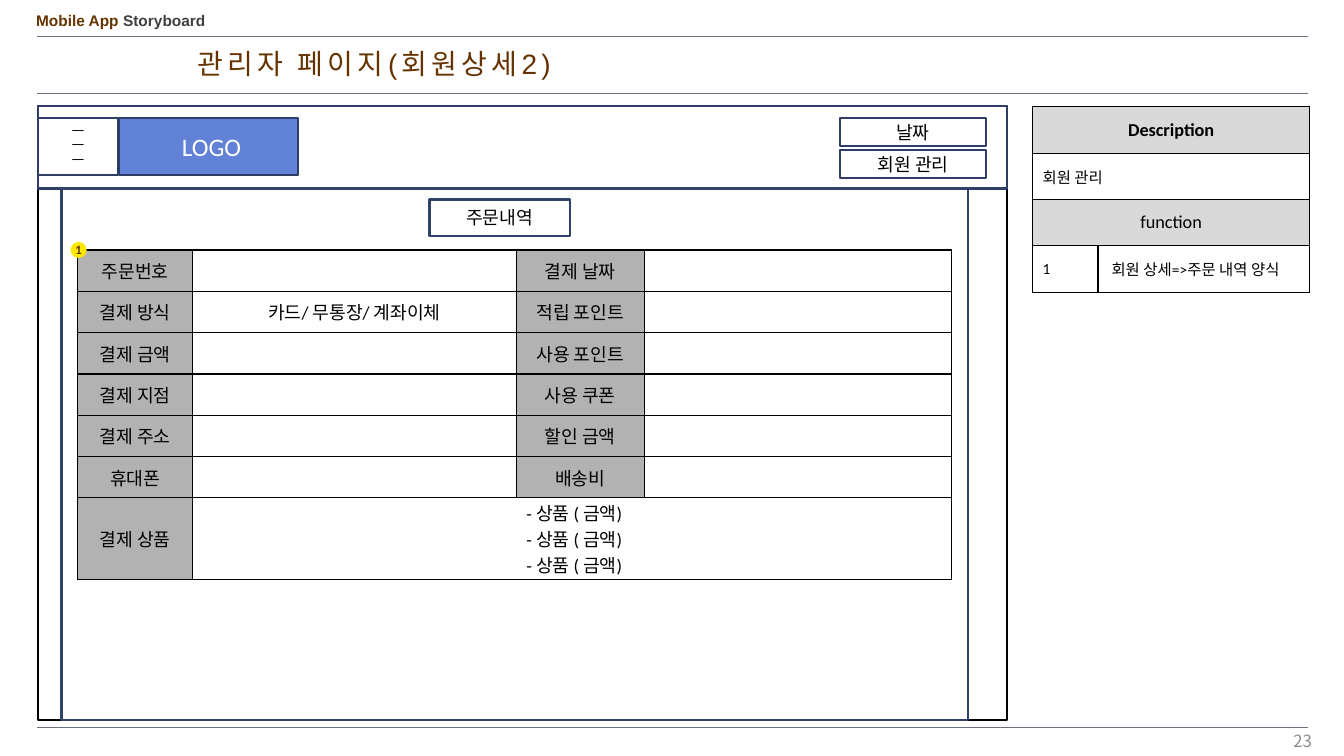
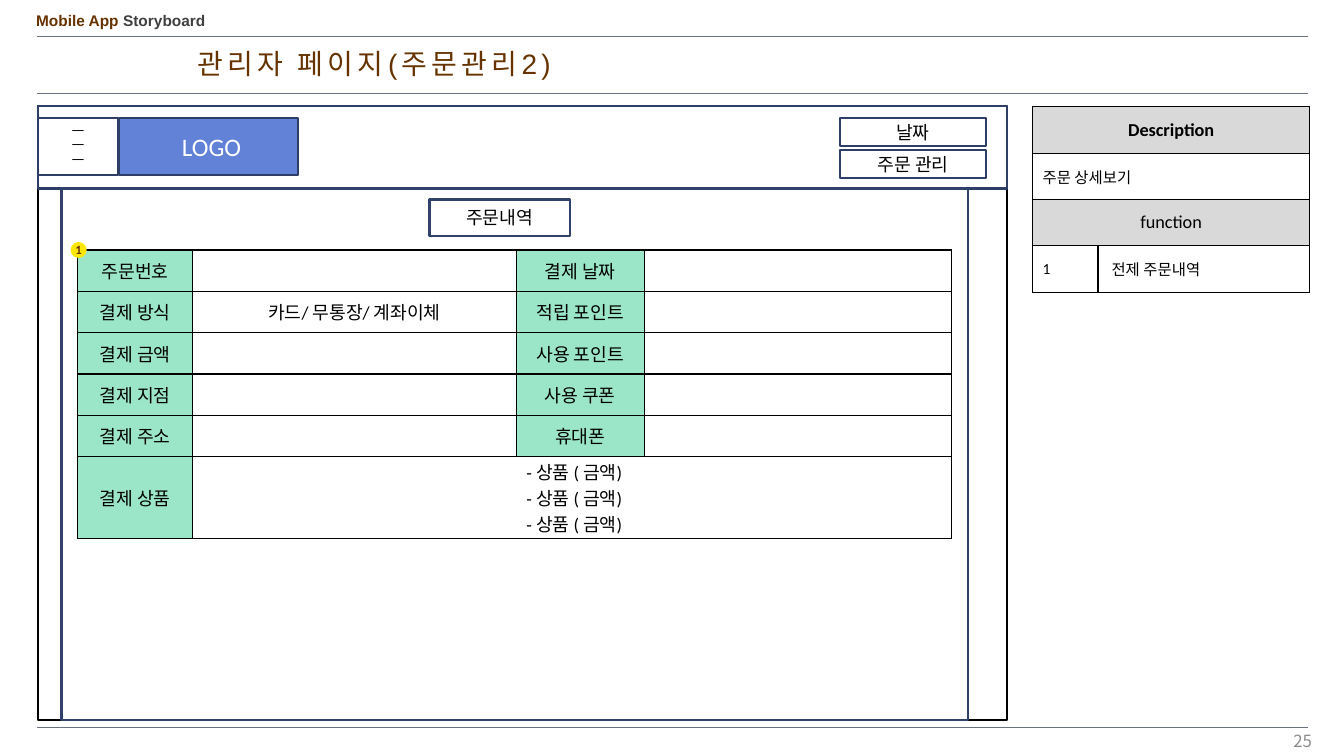
"""Build two storyboard slides for the order detail screens of an admin page."""
from lxml import etree
from pptx import Presentation
from pptx.dml.color import RGBColor
from pptx.enum.shapes import MSO_CONNECTOR, MSO_SHAPE
from pptx.enum.text import MSO_ANCHOR, MSO_AUTO_SIZE, PP_ALIGN
from pptx.oxml import parse_xml
from pptx.oxml.ns import nsdecls, qn
from pptx.util import Inches, Pt

LEFT, MID, RIGHT = PP_ALIGN.LEFT, PP_ALIGN.CENTER, PP_ALIGN.RIGHT
MIDDLE, GROW = MSO_ANCHOR.MIDDLE, MSO_AUTO_SIZE.SHAPE_TO_FIT_TEXT
RECT, OVAL, STRAIGHT = MSO_SHAPE.RECTANGLE, MSO_SHAPE.OVAL, MSO_CONNECTOR.STRAIGHT
HEAD, BODY, ASIAN = "Arial", "Calibri", "Noto Sans CJK KR"
INK = {
    "black": "000000", "white": "FFFFFF", "brown": "663300", "dark": "404040",
    "rule": "68727E", "navy": "2E3E67", "frame": "30416A", "blue": "6182D6",
    "light": "D9D9D9", "gray": "B2B2B2", "mint": "9BE5C8", "yellow": "FCE700",
    "page": "8C8C8C",
}
INK = {name: RGBColor.from_string(code) for name, code in INK.items()}


def write(frame, lines, size, color="black", bold=False, align=MID, font=BODY,
          space=None, track=None):
    frame.word_wrap = True
    for i, line in enumerate(lines):
        para = frame.paragraphs[0] if i == 0 else frame.add_paragraph()
        para.alignment = align
        if space:
            para.line_spacing = space
        for text, tint in [(line, color)] if isinstance(line, str) else line:
            run = para.add_run()
            run.text = text
            run.font.size = Pt(size)
            run.font.bold = bold
            run.font.name = font
            run.font.color.rgb = INK[tint]
            props = run.font._element
            etree.SubElement(props, qn("a:ea"), typeface=ASIAN)
            if track:
                props.set("spc", str(track * 100))


def draw(slide, place, fill="white", edge="navy", kind=RECT):
    shape = slide.shapes.add_shape(kind, *map(Inches, place))
    shape.shadow.inherit = False
    shape.fill.solid()
    shape.fill.fore_color.rgb = INK[fill]
    if edge:
        shape.line.color.rgb = INK[edge]
        shape.line.width = Pt(1.5)
    else:
        shape.line.fill.background()
    shape.text_frame.vertical_anchor = MIDDLE
    return shape.text_frame


ROWS = [
    ("주문번호", "", "결제 날짜"),
    ("결제 방식", "카드/ 무통장/ 계좌이체", "적립 포인트"),
    ("결제 금액", "", "사용 포인트"),
    ("결제 지점", "", "사용 쿠폰"),
]
PAGES = [
    {"title": "관리자 페이지(회원상세2)", "page": "23", "menu": "회원 관리",
     "about": "회원 관리", "note": " 회원 상세=>주문 내역 양식", "tint": "gray",
     "rows": ROWS + [("결제 주소", "", "할인 금액"), ("휴대폰", "", "배송비")]},
    {"title": "관리자 페이지(주문관리2)", "page": "25", "menu": "주문 관리",
     "about": "주문 상세보기", "note": " 전제 주문내역", "tint": "mint",
     "rows": ROWS + [("결제 주소", "", "휴대폰")]},
]

deck = Presentation()
deck.slide_width, deck.slide_height = Inches(13.33), Inches(7.5)

for page in PAGES:
    slide = deck.slides.add_slide(deck.slide_layouts[6])

    for y in (0.36, 0.92, 7.21):
        rule = slide.shapes.add_connector(
            STRAIGHT, Inches(0.37), Inches(y), Inches(12.97), Inches(y))
        rule.line.color.rgb = INK["rule"]
        rule.line.width = Pt(0.25)
        etree.SubElement(rule._element.spPr, qn("a:effectLst"))

    brand = [("Mobile App ", "brown"), ("Storyboard", "dark")]
    for place, line, style in (
        ((0.26, 0.1, 3.57, 0.25), brand,
         {"size": 11, "bold": True, "align": LEFT, "font": HEAD, "space": 0.8}),
        ((1.86, 0.45, 4.8, 0.4), page["title"],
         {"size": 20, "color": "brown", "align": LEFT, "font": HEAD,
          "space": 0.9, "track": 3}),
        ((10.24, 7.15, 2.87, 0.4), page["page"],
         {"size": 12, "color": "page", "align": RIGHT, "font": ASIAN}),
    ):
        frame = slide.shapes.add_textbox(*map(Inches, place)).text_frame
        if line == page["page"]:
            frame.vertical_anchor = MIDDLE
        else:
            frame.auto_size = GROW
        write(frame, [line], **style)

    draw(slide, (0.38, 1.05, 9.61, 6.09), edge="black")
    draw(slide, (0.38, 1.05, 9.61, 0.82))
    logo = draw(slide, (1.18, 1.17, 1.78, 0.57), "blue")
    write(logo, [" LOGO"], 18, "white")
    menu = draw(slide, (0.38, 1.17, 0.79, 0.57))
    write(menu, ["ㅡ"] * 3, 10, space=0.85)
    for y, label in ((1.17, "날짜"), (1.49, page["menu"])):
        write(draw(slide, (8.33, y, 1.45, 0.28)), [label], 13)
    draw(slide, (0.61, 1.87, 8.99, 5.27), edge="frame")

    info = [
        [(["Description"], 13, True, MID, "light"), None],
        [([page["about"]], 11, False, LEFT, "white"), None],
        [(["function"], 13, False, MID, "light"), None],
        [(["1"], 11, False, LEFT, "white"),
         ([page["note"]], 11, False, LEFT, "white")],
    ]
    order = [
        [([text], 13, False, MID, fill)
         for text, fill in zip((*row, ""), (page["tint"], "white") * 2)]
        for row in page["rows"]
    ]
    order.append([(["결제 상품"], 13, False, MID, page["tint"]),
                  ([" - 상품 ( 금액)"] * 3, 13, False, MID, "white"), None, None])

    for x, y, cols, rows, pad, grid in (
        (10.24, 1.06, (0.65, 2.1), [0.46] * 4, 0.05, info),
        (0.77, 2.48, (1.14, 3.21, 1.27, 3.05),
         [0.41] * len(page["rows"]) + [0.81], 0, order),
    ):
        table = slide.shapes.add_table(
            len(rows), len(cols), Inches(x), Inches(y),
            Inches(sum(cols)), Inches(sum(rows))).table
        table.first_row = table.horz_banding = False
        for col, width in zip(table.columns, cols):
            col.width = Inches(width)
        for r, (high, items) in enumerate(zip(rows, grid)):
            table.rows[r].height = Inches(high)
            for c, item in enumerate(items):
                cell = table.cell(r, c)
                props = cell._tc.get_or_add_tcPr()
                for i, side in enumerate(("lnL", "lnR", "lnT", "lnB")):
                    props.insert(i, parse_xml(
                        f'<a:{side} {nsdecls("a")} w="12700"><a:solidFill>'
                        f'<a:srgbClr val="{INK["black"]}"/></a:solidFill></a:{side}>'))
                cell.fill.solid()
                cell.fill.fore_color.rgb = INK[item[4] if item else "white"]
                cell.vertical_anchor = MIDDLE
                cell.margin_top = cell.margin_bottom = Inches(pad)
                if item:
                    lines, size, bold, align, fill = item
                    if lines != [""]:
                        write(cell.text_frame, lines, size, bold=bold, align=align)
            span = items.count(None)
            if span:
                start = len(items) - span - 1
                table.cell(r, start).merge(table.cell(r, len(items) - 1))

    write(draw(slide, (4.26, 1.98, 1.39, 0.36), edge="frame"), ["주문내역"], 13)
    badge = draw(slide, (0.7, 2.4, 0.16, 0.16), "yellow", None, OVAL)
    badge.margin_left = badge.margin_right = 0
    badge.margin_top = badge.margin_bottom = 0
    write(badge, ["1"], 9, "brown", True)

deck.save("out.pptx")
